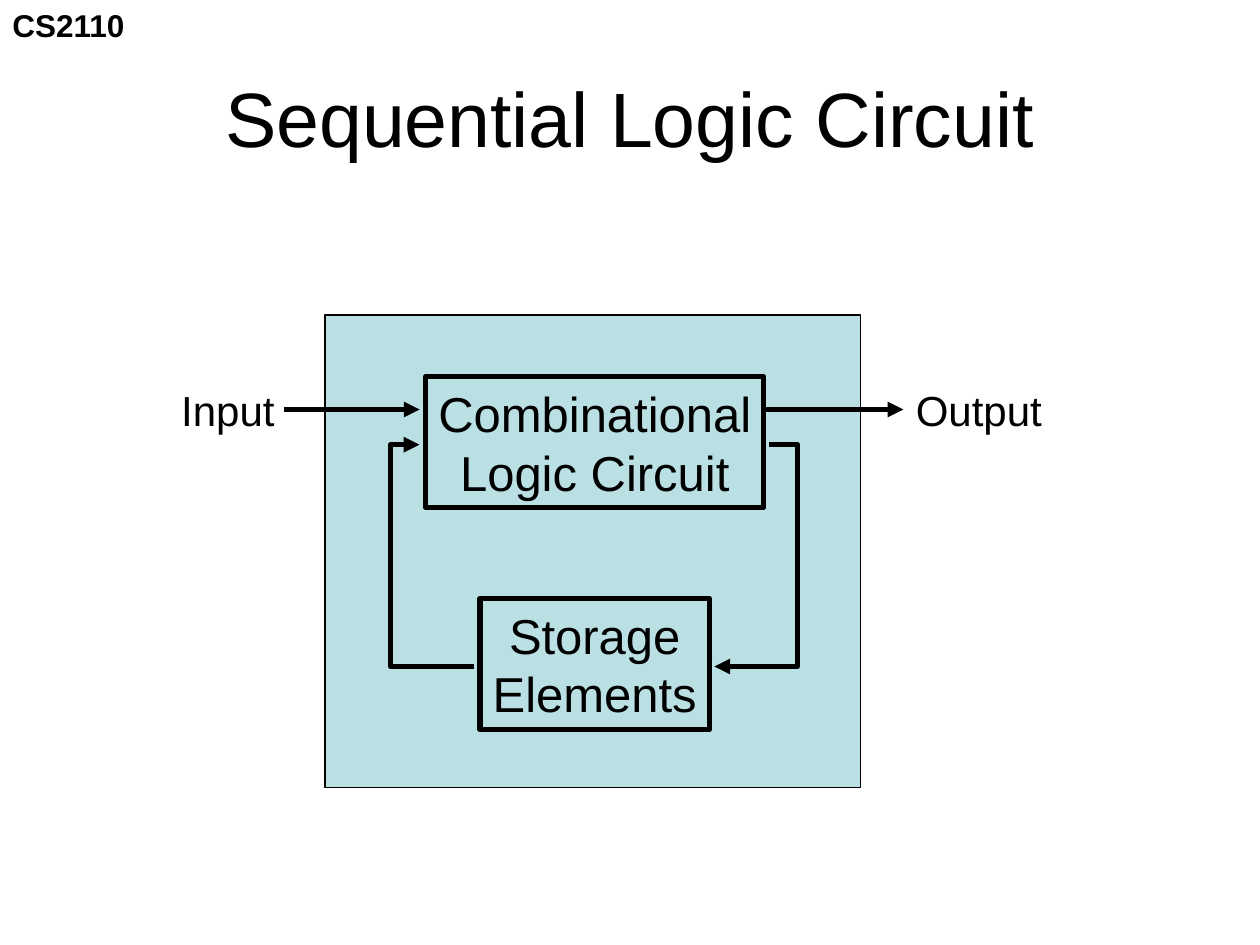
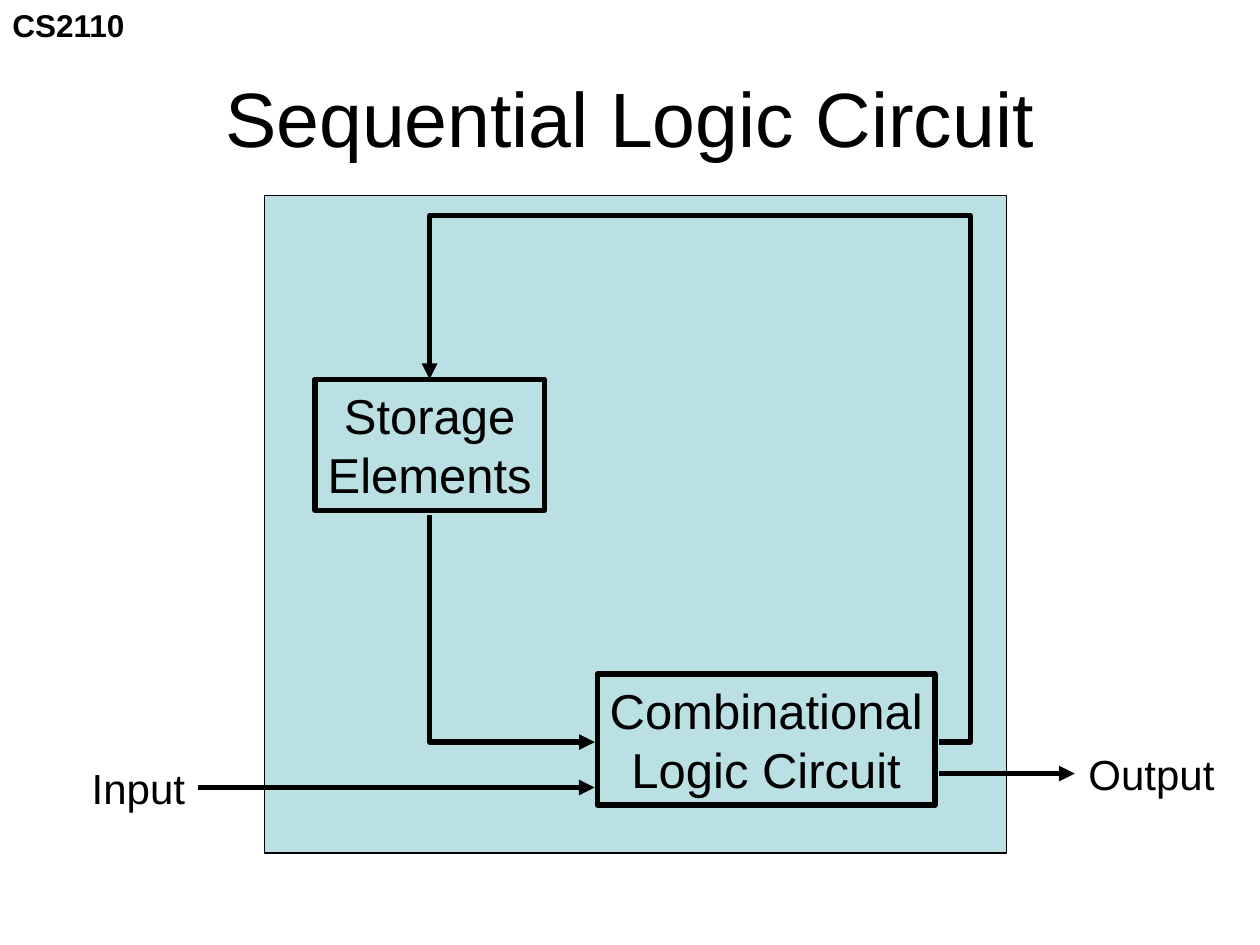
from lxml.etree import SubElement
from pptx import Presentation
from pptx.dml.color import RGBColor
from pptx.enum.shapes import MSO_CONNECTOR, MSO_SHAPE
from pptx.enum.text import MSO_ANCHOR, MSO_AUTO_SIZE, PP_ALIGN
from pptx.oxml.ns import qn
from pptx.util import Inches, Pt

BLACK = RGBColor(0x00, 0x00, 0x00)
PALE_TEAL = RGBColor(0xBB, 0xE0, 0xE3)
FONT = "Arial"
BLOCK_HEIGHT = 1.04
COMBINATIONAL = ("Combinational\nLogic Circuit", 2.68)
STORAGE = ("Storage\nElements", 1.82)


def write(shape, text, size, align=PP_ALIGN.LEFT, bold=False):
    frame = shape.text_frame
    frame.text = text
    for paragraph in frame.paragraphs:
        paragraph.alignment = align
        paragraph.font.name = FONT
        paragraph.font.size = Pt(size)
        paragraph.font.bold = bold
        paragraph.font.color.rgb = BLACK


def fit_to_text(shape):
    shape.text_frame.word_wrap = False
    shape.text_frame.auto_size = MSO_AUTO_SIZE.SHAPE_TO_FIT_TEXT


def add_label(slide, text, left, top, width, height=0.5, size=24, bold=False):
    label = slide.shapes.add_textbox(*map(Inches, (left, top, width, height)))
    write(label, text, size, bold=bold)
    fit_to_text(label)


def add_rectangle(slide, left, top, width, height, line_width):
    rectangle = slide.shapes.add_shape(
        MSO_SHAPE.RECTANGLE, *map(Inches, (left, top, width, height)))
    rectangle.shadow.inherit = False
    rectangle.line.color.rgb = BLACK
    rectangle.line.width = Pt(line_width)
    return rectangle


def add_boundary(slide, left, top, width, height):
    boundary = add_rectangle(slide, left, top, width, height, 0.75)
    boundary.fill.solid()
    boundary.fill.fore_color.rgb = PALE_TEAL


def add_block(slide, content, left, top):
    text, width = content
    block = add_rectangle(slide, left, top, width, BLOCK_HEIGHT, 3)
    block.fill.background()
    write(block, text, 28, PP_ALIGN.CENTER)
    fit_to_text(block)
    return block


def add_arrow(slide, start, end, kind=MSO_CONNECTOR.STRAIGHT):
    arrow = slide.shapes.add_connector(kind, *map(Inches, (*start, *end)))
    arrow.line.color.rgb = BLACK
    arrow.line.width = Pt(3)
    properties = arrow._element.spPr
    SubElement(properties.find(qn("a:ln")), qn("a:tailEnd"), type="triangle")
    SubElement(properties, qn("a:effectLst"))
    return arrow


def add_lane_arrow(slide, start, end, lane_x, lane_y=None):
    arrow = add_arrow(slide, start, end, MSO_CONNECTOR.ELBOW)
    ratios = [(lane_x - start[0]) / (end[0] - start[0])]
    if lane_y is not None:
        ratios.append((lane_y - start[1]) / (end[1] - start[1]))
    geometry = arrow._element.spPr.find(qn("a:prstGeom"))
    geometry.set("prst", f"bentConnector{len(ratios) + 2}")
    adjustments = geometry.find(qn("a:avLst"))
    for number, ratio in enumerate(ratios, 1):
        SubElement(adjustments, qn("a:gd"), name=f"adj{number}",
                   fmla=f"val {round(ratio * 100000)}")
    return arrow


def add_down_then_right_arrow(slide, start, end):
    arrow = add_arrow(slide, start, end, MSO_CONNECTOR.ELBOW)
    across, down = end[0] - start[0], end[1] - start[1]
    arrow.left = Inches((start[0] + end[0] - down) / 2)
    arrow.top = Inches((start[1] + end[1] - across) / 2)
    arrow.width, arrow.height = Inches(down), Inches(across)
    properties = arrow._element.spPr
    properties.find(qn("a:prstGeom")).set("prst", "bentConnector2")
    transform = properties.find(qn("a:xfrm"))
    transform.set("rot", str(270 * 60000))
    transform.set("flipH", "1")


def add_titled_slide(presentation):
    slide = presentation.slides.add_slide(presentation.slide_layouts[5])
    add_label(slide, "CS2110", 0, 0, 1.1, 0.4, 18, True)
    title = slide.shapes.title
    title.left, title.top, title.width, title.height = map(Inches, (0.5, 0.3, 9, 1.25))
    write(title, "Sequential Logic Circuit", 44, PP_ALIGN.CENTER)
    title.text_frame.vertical_anchor = MSO_ANCHOR.MIDDLE
    return slide


def add_stacked_circuit(slide, left, top, width, height):
    add_boundary(slide, left, top, width, height)
    add_block(slide, COMBINATIONAL, left + 0.8, top + 0.49)
    add_block(slide, STORAGE, left + 1.23, top + 2.25)
    signal_y, upper_y, lower_y = top + 0.75, top + 1.03, top + 2.79
    add_lane_arrow(slide, (left + 3.52, upper_y), (left + 3.09, lower_y), left + 3.75)
    add_lane_arrow(slide, (left + 1.18, lower_y), (left + 0.75, upper_y), left + 0.52)
    add_arrow(slide, (left + 3.5, signal_y), (left + 4.59, signal_y))
    add_arrow(slide, (left - 0.33, signal_y), (left + 0.75, signal_y))
    add_label(slide, "Input", left - 1.24, signal_y - 0.25, 0.94)
    add_label(slide, "Output", left + 4.59, signal_y - 0.25, 1.2)


def add_feedback_circuit(slide, left, top, width, height):
    add_boundary(slide, left, top, width, height)
    add_block(slide, COMBINATIONAL, left + 2.64, top + 3.8)
    storage = add_block(slide, STORAGE, left + 0.4, top + 1.46)
    storage_x = left + 0.4 + STORAGE[1] / 2
    entry_x, exit_x = left + 2.62, left + 5.35
    state_y, output_y, input_y = top + 4.34, top + 4.59, top + 4.7
    feedback = add_lane_arrow(slide, (exit_x, state_y), (storage_x, top + 1.46),
                              left + 5.6, top + 0.16)
    feedback.end_connect(storage, 0)
    add_down_then_right_arrow(slide, (storage_x, top + 2.54), (entry_x, state_y))
    add_arrow(slide, (exit_x, output_y), (left + 6.43, output_y))
    add_arrow(slide, (left - 0.53, input_y), (entry_x, input_y))
    add_label(slide, "Input", left - 1.47, input_y - 0.25, 0.94)
    add_label(slide, "Output", left + 6.44, output_y - 0.25, 1.2)


def main():
    presentation = Presentation()
    presentation.slide_width, presentation.slide_height = Inches(10), Inches(7.5)
    add_stacked_circuit(add_titled_slide(presentation), 2.58, 2.5, 4.25, 3.75)
    add_feedback_circuit(add_titled_slide(presentation), 2.1, 1.55, 5.89, 5.22)
    presentation.save("out.pptx")


if __name__ == "__main__":
    main()
